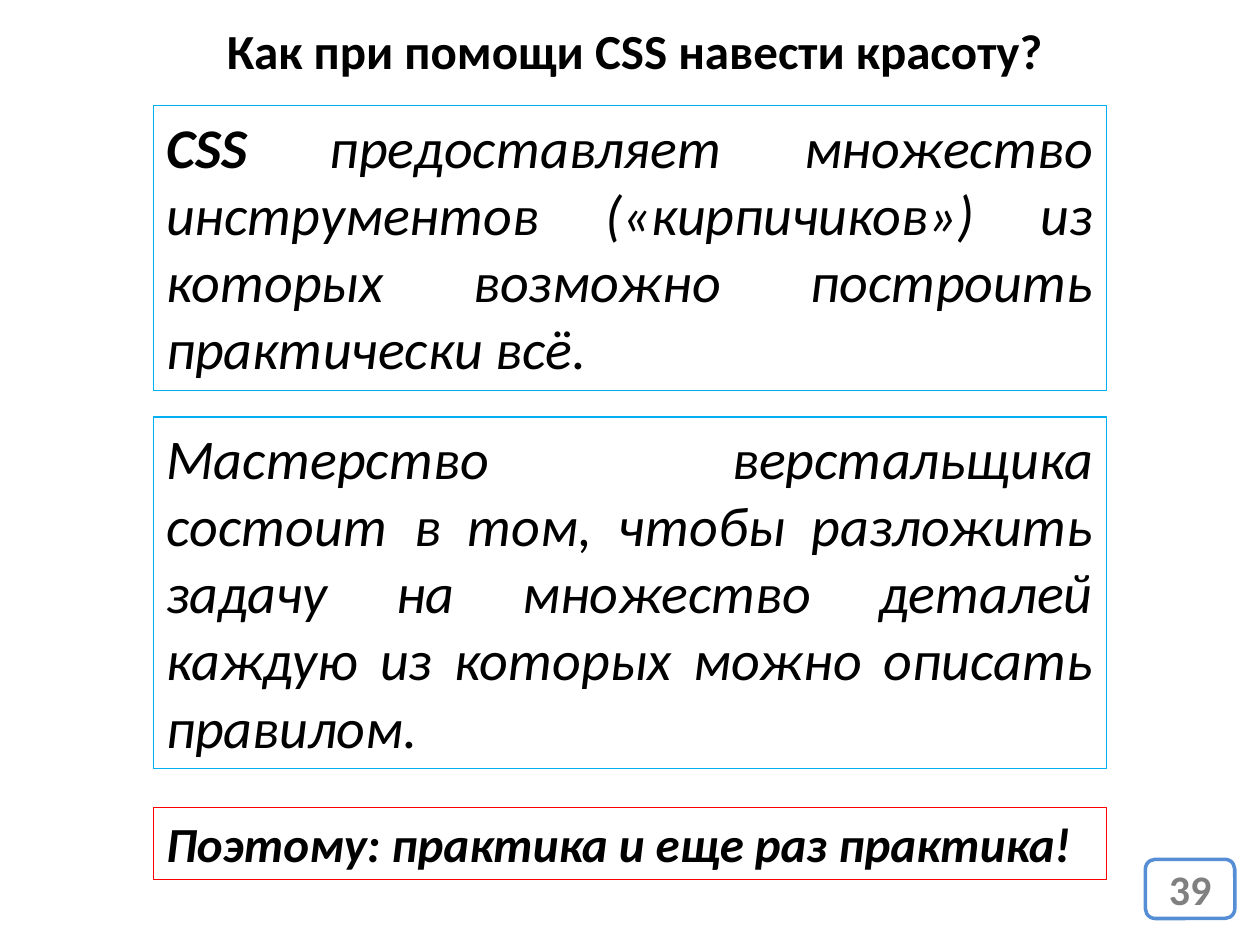
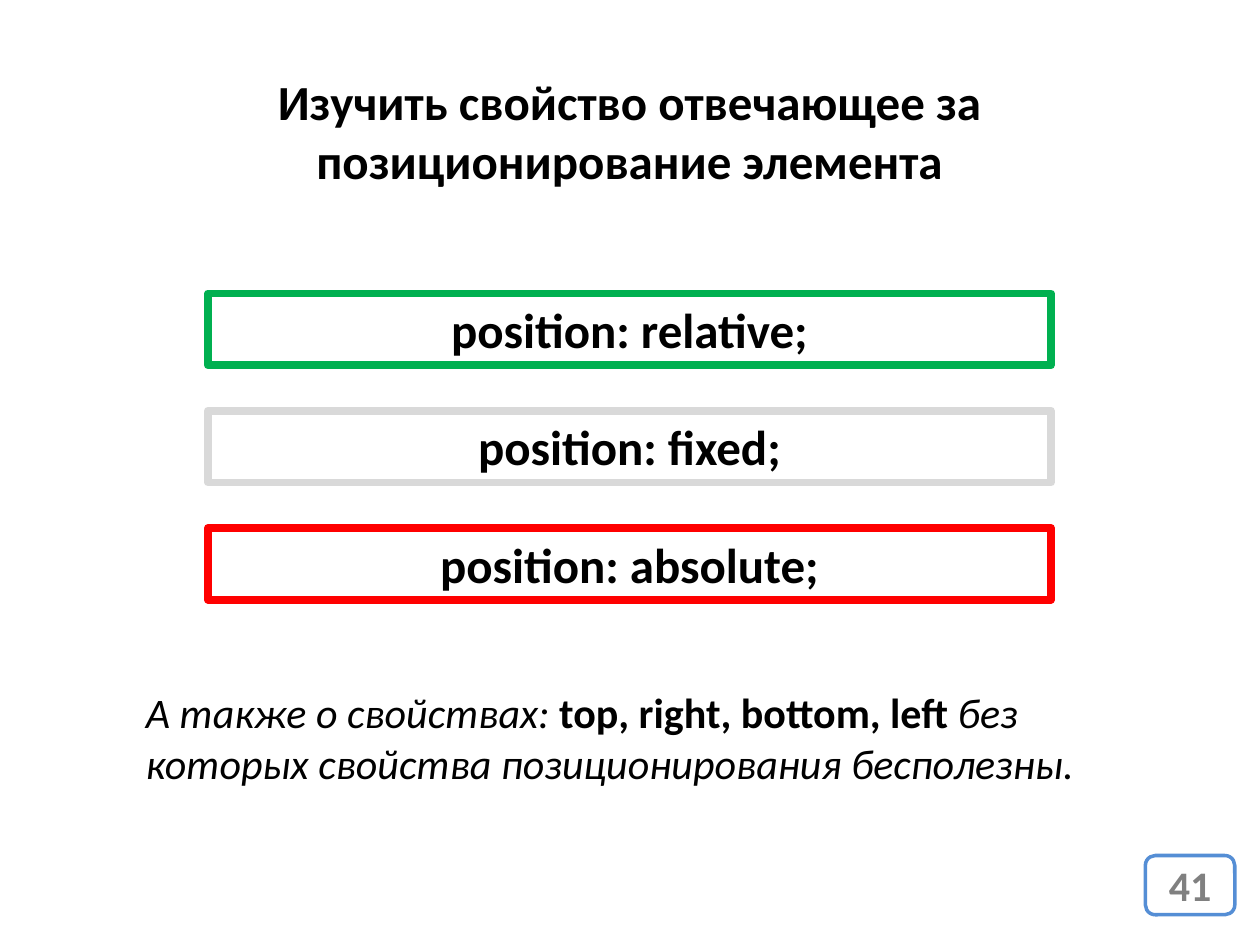
from pptx import Presentation
from pptx.dml.color import RGBColor
from pptx.enum import shapes, text
from pptx.util import Pt

PX = 9144  # EMU in one px, 100 px to the inch
FONT = "Calibri"
BLACK, WHITE, GREY, LIGHT_GREY = "000000", "FFFFFF", "808080", "D9D9D9"
BLUE, SKY, GREEN, RED = "558ED5", "00B0F0", "00B050", "FF0000"
LEFT, CENTER, JUSTIFY = text.PP_ALIGN.LEFT, text.PP_ALIGN.CENTER, text.PP_ALIGN.JUSTIFY
BOLD, ITALIC = {"bold": True}, {"italic": True}
BOLD_ITALIC = {**BOLD, **ITALIC}


def color(value):
    return RGBColor.from_string(value)


def emu(box):
    return [length * PX for length in box]


def write(shape, runs, size, align=LEFT, anchor=text.MSO_ANCHOR.TOP, ink=BLACK):
    """Fill a shape with one paragraph made of (words, font format) runs."""
    frame = shape.text_frame
    settings = {"word_wrap": True, "auto_size": text.MSO_AUTO_SIZE.NONE,
                "vertical_anchor": anchor}
    for name, value in settings.items():
        setattr(frame, name, value)
    paragraph = frame.paragraphs[0]
    paragraph.alignment = align
    for words, style in runs:
        run = paragraph.add_run()
        run.text = words
        font = {"name": FONT, "size": Pt(size), "bold": False, "italic": False, **style}
        for name, value in font.items():
            setattr(run.font, name, value)
        run.font.color.rgb = color(ink)


def add_frame(slide, box, line, width, kind=shapes.MSO_SHAPE.RECTANGLE, fill=None):
    shape = slide.shapes.add_shape(kind, *emu(box))
    shape.shadow.inherit = False
    if fill:
        shape.fill.solid()
        shape.fill.fore_color.rgb = color(fill)
    else:
        shape.fill.background()
    shape.line.color.rgb = color(line)
    shape.line.width = Pt(width)
    return shape


def add_titled_slide(presentation, title, title_box, number, number_top):
    slide = presentation.slides.add_slide(presentation.slide_layouts[5])
    heading = slide.shapes.title
    heading.left, heading.top, heading.width, heading.height = emu(title_box)
    write(heading, [(title, BOLD)], 28, CENTER)
    badge = add_frame(slide, (909, number_top, 71, 47), BLUE, 2,
                      shapes.MSO_SHAPE.ROUNDED_RECTANGLE, WHITE)
    write(badge, [(number, BOLD)], 24, CENTER, text.MSO_ANCHOR.MIDDLE, GREY)
    return slide


def add_statements(slide, left, width, statements):
    for top, height, line, size, align, runs in statements:
        frame = add_frame(slide, (left, top, width, height), line, 0.75)
        write(frame, runs, size, align)


def add_declarations(slide, box, pitch, declarations):
    """Stack equal boxes downwards; box is the first one."""
    left, top, width, height = box
    for index, (words, line) in enumerate(declarations):
        frame = add_frame(slide, (left, top + index * pitch, width, height), line, 4.5)
        write(frame, [(words, BOLD)], 28, CENTER)


def build_beauty_slide(presentation):
    slide = add_titled_slide(presentation, "Как при помощи CSS навести красоту?",
                             (166, 11, 675, 57), "39", 682)
    add_statements(slide, 122, 756, [
        (84, 226, SKY, 32, JUSTIFY, [
            ("CSS ", BOLD_ITALIC),
            ("предоставляет множество инструментов («кирпичиков») "
             "из которых возможно построить практически всё.", ITALIC)]),
        (331, 279, SKY, 32, JUSTIFY, [
            ("Мастерство верстальщика состоит в том, чтобы разложить задачу "
             "на множество деталей каждую из которых можно описать правилом.", ITALIC)]),
        (641, 57, RED, 28, LEFT, [
            ("Поэтому: практика и еще раз практика!", BOLD_ITALIC)]),
    ])


def build_position_slide(presentation):
    slide = add_titled_slide(presentation,
                             "Изучить свойство отвечающее за позиционирование элемента",
                             (155, 52, 689, 104), "41", 679)
    add_declarations(slide, (165, 233, 669, 57), 93, [
        ("position: relative;", GREEN),
        ("position: fixed;", LIGHT_GREY),
        ("position: absolute;", RED),
    ])
    note = slide.shapes.add_textbox(*emu((106, 540, 787, 91)))
    write(note, [
        ("А также о свойствах: ", ITALIC),
        ("top, right, bottom, left ", BOLD),
        ("без которых свойства позиционирования бесполезны.", ITALIC),
    ], 24)


def main():
    presentation = Presentation()
    presentation.slide_width, presentation.slide_height = emu((1000, 750))
    build_beauty_slide(presentation)
    build_position_slide(presentation)
    presentation.save("out.pptx")


if __name__ == "__main__":
    main()
